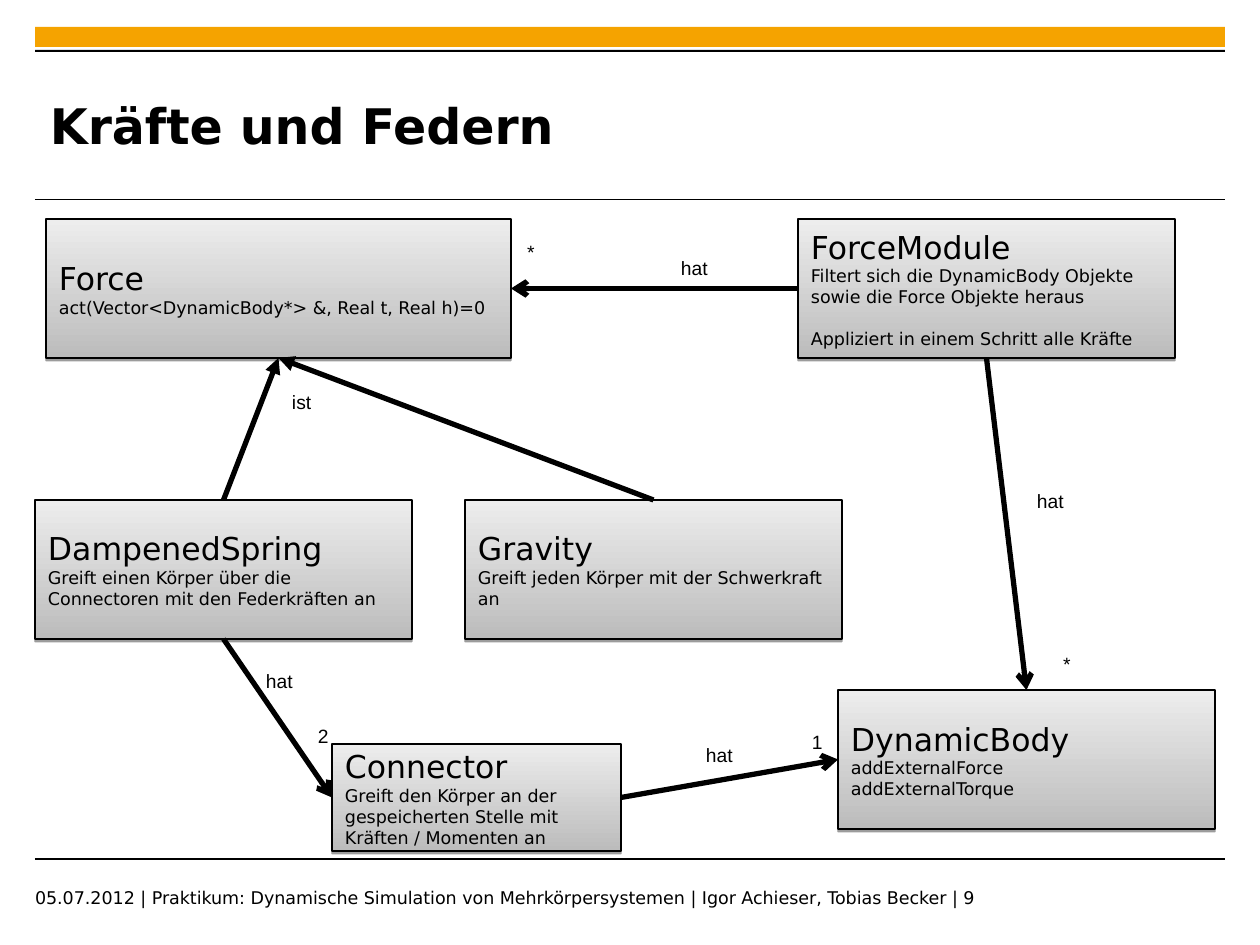
import pptx
import pptx.util
import lxml.etree
from pptx.dml.color import RGBColor
from pptx.enum.shapes import MSO_CONNECTOR, MSO_SHAPE
from pptx.enum.text import MSO_ANCHOR, PP_ALIGN
from pptx.oxml.ns import qn

SCALE = 914400 / 126  # EMU per px
BLACK = RGBColor(0x00, 0x00, 0x00)
ORANGE = RGBColor(0xF5, 0xA3, 0x00)
DARK_GREY = RGBColor(0xBC, 0xBC, 0xBC)
LIGHT_GREY = RGBColor(0xED, 0xED, 0xED)
SANS, ARIAL = "DejaVu Sans", "Arial"
TOP, LEFT, BOTTOM, RIGHT = range(4)


def px(*values):
    return [round(v * SCALE) for v in values]


def write(tf, paragraphs, margins=(13, 6), **frame):
    """Fill a text frame with (text, size, font, bold, space before) rows."""
    mx, my = px(*margins)
    frame = {"margin_left": mx, "margin_right": mx, "margin_top": my,
             "margin_bottom": my, "word_wrap": True, **frame}
    for name, value in frame.items():
        setattr(tf, name, value)
    for i, (text, size, font, bold, before) in enumerate(paragraphs):
        p = tf.paragraphs[0] if i == 0 else tf.add_paragraph()
        p.alignment = PP_ALIGN.LEFT
        if before:
            p.space_before = pptx.util.Pt(before)
        r = p.add_run()
        r.text = text
        r.font.color.rgb = BLACK
        for name, value in {"size": pptx.util.Pt(size), "name": font, "bold": bold}.items():
            setattr(r.font, name, value)


prs = pptx.Presentation()
prs.slide_width, prs.slide_height = px(1260, 945)
s = prs.slides.add_slide(prs.slide_layouts[6])

# Header bars
for y, h, color in [(27, 20, ORANGE), (50, 2, BLACK)]:
    sp = s.shapes.add_shape(MSO_SHAPE.RECTANGLE, *px(35, y, 1190, h))
    sp.shadow.inherit = False
    sp.fill.solid()
    sp.fill.fore_color.rgb = color
    sp.line.fill.background()

# Title and footer
for rect, text, size, bold, anchor in [
    ((50, 67, 947, 116), "Kräfte und Federn", 28, True, MSO_ANCHOR.MIDDLE),
    ((35, 887, 991, 31), "05.07.2012 | Praktikum: Dynamische Simulation von "
     "Mehrkörpersystemen | Igor Achieser, Tobias Becker | 9", 10, False, MSO_ANCHOR.TOP),
]:
    sp = s.shapes.add_textbox(*px(*rect))
    write(sp.text_frame, [(text, size, SANS, bold, 0)], (0, 0), vertical_anchor=anchor)

# Class boxes: name, rectangle, (description, space before)
boxes = {}
for name, rect, details in [
    ("ForceModule", (798, 219, 377, 139),
     [("Filtert sich die DynamicBody Objekte sowie die Force Objekte heraus", 0),
      ("Appliziert in einem Schritt alle Kräfte", 12)]),
    ("Force", (46, 219, 465, 139), [("act(Vector<DynamicBody*> &, Real t, Real h)=0", 0)]),
    ("DynamicBody", (838, 690, 377, 139), [("addExternalForce", 0), ("addExternalTorque", 0)]),
    ("Gravity", (465, 500, 377, 139), [("Greift jeden Körper mit der Schwerkraft an", 0)]),
    ("DampenedSpring", (35, 500, 377, 139),
     [("Greift einen Körper über die Connectoren mit den Federkräften an", 0)]),
    ("Connector", (332, 744, 289, 107),
     [("Greift den Körper an der gespeicherten Stelle mit Kräften / Momenten an", 0)]),
]:
    sp = boxes[name] = s.shapes.add_shape(MSO_SHAPE.RECTANGLE, *px(*rect))
    sp.fill.gradient()
    sp.fill.gradient_angle = 90
    for stop, position, color in zip(sp.fill.gradient_stops, (0, 1), (DARK_GREY, LIGHT_GREY)):
        stop.position = position
        stop.color.rgb = color
    sp.line.color.rgb = BLACK
    sp.line.width = pptx.util.Pt(0.75)
    sp.shadow.inherit = False
    shadow = lxml.etree.SubElement(
        sp._element.spPr.find(qn("a:effectLst")), qn("a:outerShdw"),
        blurRad="0", dist="20000", dir="5400000", rotWithShape="0")
    tone = lxml.etree.SubElement(shadow, qn("a:srgbClr"), val="000000")
    lxml.etree.SubElement(tone, qn("a:alpha"), val="38000")
    write(sp.text_frame,
          [(name, 18, SANS, False, 0)] + [(t, 10, SANS, False, b) for t, b in details],
          vertical_anchor=MSO_ANCHOR.MIDDLE)

# Rules and relations: width, arrowhead, start, end
for width, head, start, end in [
    (0.6, None, (35, 200), (1225, 200)),
    (0.6, None, (35, 859), (1225, 859)),
    (3, "triangle", ("DampenedSpring", TOP), ("Force", BOTTOM)),
    (3, "triangle", ("Gravity", TOP), ("Force", BOTTOM)),
    (3, "arrow", ("DampenedSpring", BOTTOM), ("Connector", LEFT)),
    (3, "arrow", ("ForceModule", BOTTOM), ("DynamicBody", TOP)),
    (3, "arrow", ("ForceModule", LEFT), ("Force", RIGHT)),
    (3, "arrow", ("Connector", RIGHT), ("DynamicBody", LEFT)),
]:
    ends = px(0, 0, 0, 0) if head else px(*start, *end)
    line = s.shapes.add_connector(MSO_CONNECTOR.STRAIGHT, *ends)
    line.line.color.rgb = BLACK
    line.line.width = pptx.util.Pt(width)
    lxml.etree.SubElement(line._element.spPr, qn("a:effectLst"))
    if head:
        line.begin_connect(boxes[start[0]], start[1])
        line.end_connect(boxes[end[0]], end[1])
        lxml.etree.SubElement(line.line._get_or_add_ln(), qn("a:tailEnd"), type=head)

# The Connector box lies over its incoming arrowhead
s.shapes._spTree.append(boxes["Connector"]._element)

# Relation names and multiplicities; no right margin, so each stays on one line
for text, x, y, w in [
    ("ist", 279, 384, 44),
    ("hat", 253, 663, 52),
    ("hat", 1024, 483, 52),
    ("hat", 668, 250, 52),
    ("*", 514, 234, 33),
    ("*", 1050, 646, 33),
    ("2", 305, 718, 35),
    ("hat", 693, 737, 52),
    ("1", 799, 724, 35),
]:
    sp = s.shapes.add_textbox(*px(x, y, w, 36))
    write(sp.text_frame, [(text, 11, ARIAL, False, 0)], margin_right=0)

prs.save("out.pptx")
